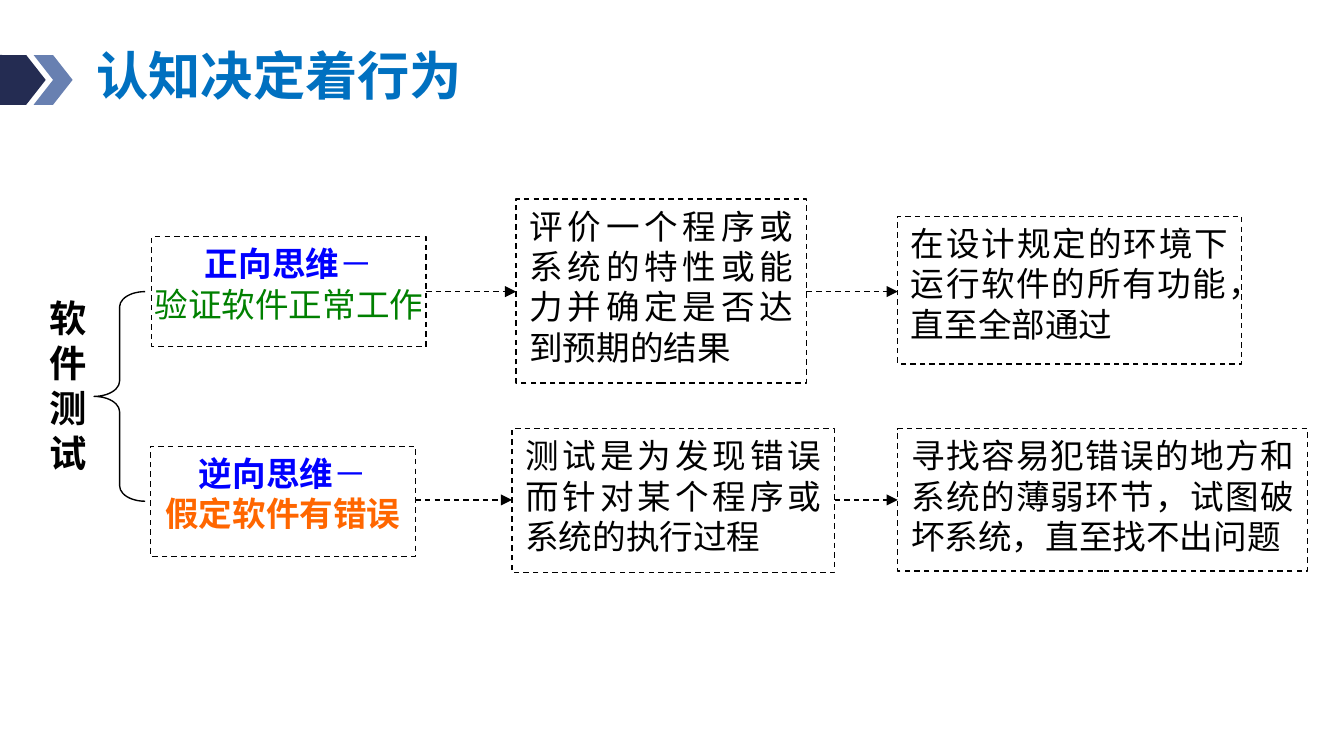
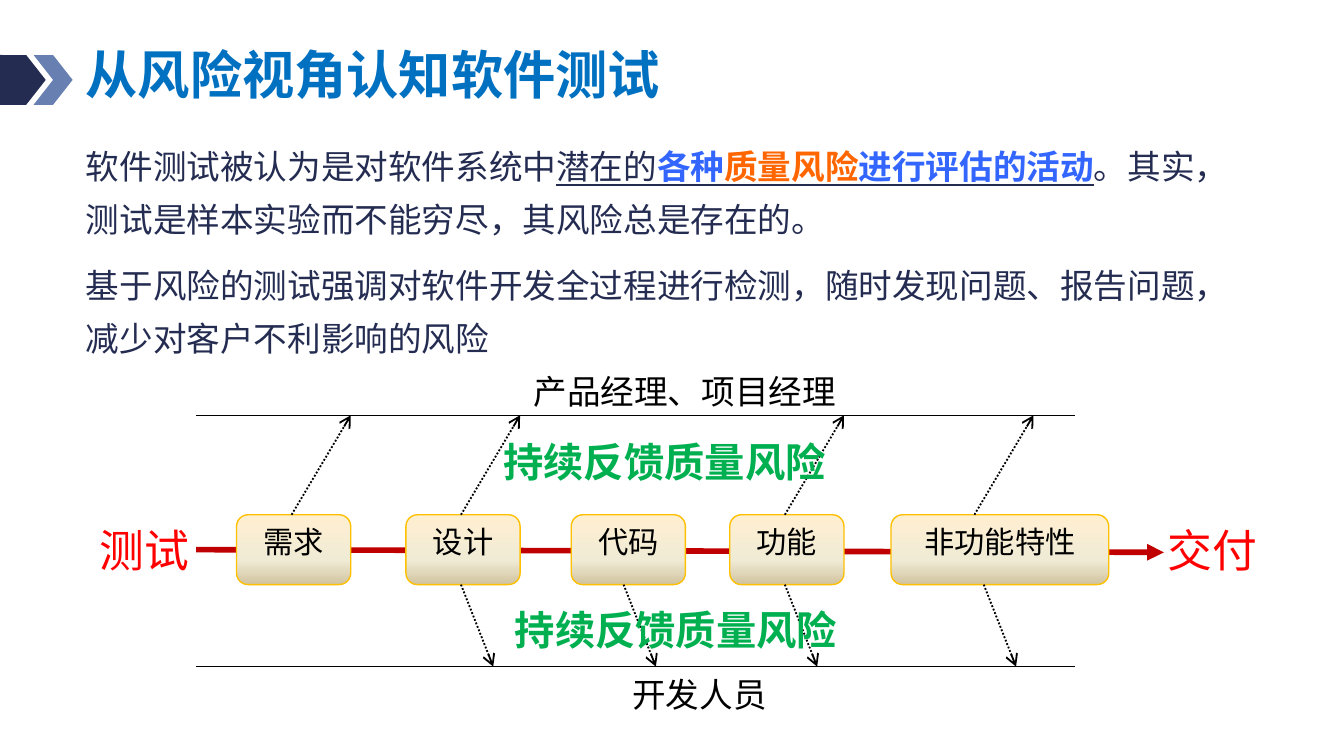
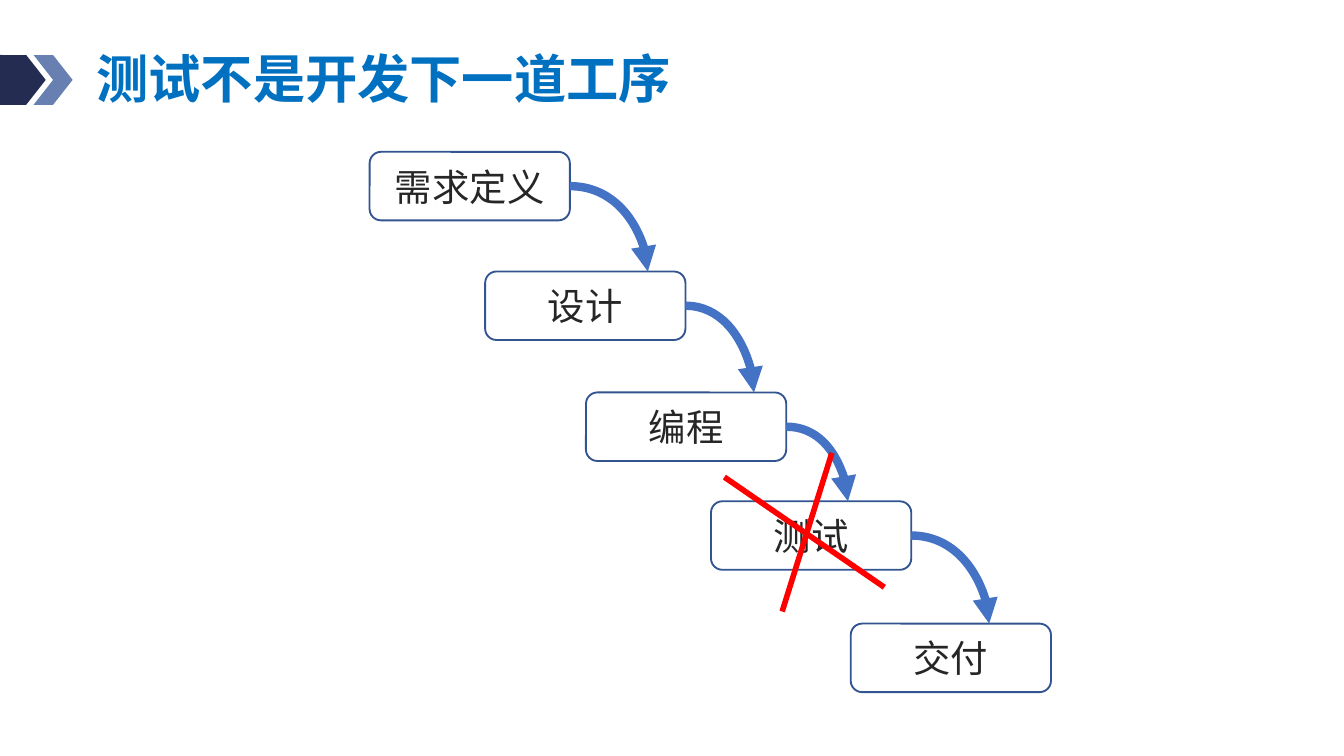
from lxml import etree
from pptx import Presentation
from pptx import util as u
from pptx.dml.color import RGBColor
from pptx.enum import dml, shapes, text
from pptx.oxml.ns import qn

PX = 9144  # EMU per px, 100 px to the inch
S, C = shapes.MSO_SHAPE, shapes.MSO_CONNECTOR
MID, TOP = text.MSO_ANCHOR.MIDDLE, text.MSO_ANCHOR.TOP
ALIGN = {"l": text.PP_ALIGN.LEFT, "c": text.PP_ALIGN.CENTER,
         "j": text.PP_ALIGN.JUSTIFY}
DASH, DOT = dml.MSO_LINE.DASH, dml.MSO_LINE.ROUND_DOT


class Theme:
    """Colours, type and lines that the slides share."""
    cjk, latin = "Noto Sans CJK SC", "Calibri"
    navy, steel, white, black = "242C52", "6880B1", "FFFFFF", "000000"
    cream = [(0, "FFEFD1"), (65, "F0EBD5"), (100, "D1C39F")]
    # name: size, colour, bold, underline, font
    type = {
        "title": (28, "0070C0", True, False, cjk),
        "plain": (18, black, False, False, cjk),
        "side": (20, black, True, False, cjk),
        "mind": (18, "0000FF", True, False, cjk),
        "dash": (18, "0000FF", False, False, cjk),
        "good": (18, "008000", False, False, cjk),
        "bad": (18, "FF6600", True, False, cjk),
        "body": (18, navy, False, False, cjk),
        "under": (18, navy, False, True, cjk),
        "key": (18, "3366FF", True, True, cjk),
        "risk": (18, "FF6600", True, True, cjk),
        "stage": (16.2, black, False, False, latin),
        "feed": (21.6, "00B050", True, False, latin),
        "end": (24, "FF0000", False, False, cjk),
        "step": (20, "262626", False, False, cjk),
    }
    # name: colour, width, dash
    line = {
        "thin": (black, 0.75, None), "dash": (black, 0.75, DASH),
        "dot": (black, 1, DOT), "flow": ("C00000", 3, None),
        "gold": ("FFC000", 0.75, None), "blue": ("325491", 1, None),
        "curve": ("4472C4", 4.5, None), "cross": ("FF0000", 3, None),
    }


# Content: thinking modes
MINDS = {
    "title": ("认知决定着行为", (62, 22, 514, 73)),
    "side": ("软件测试", (27, 215, 59, 175)),
    "brace": (70, 217, 38, 156),
    "rows": [
        (217, (113, 176, 204, 82),
         [[("正向思维", "mind"), ("－", "dash")], [("验证软件正常工作", "good")]],
         [((384, 148, 216, 137), "评价一个程序或系统的特性或能力并确定是否达到预期的结果"),
          ((668, 161, 256, 110), "在设计规定的环境下运行软件的所有功能，直至全部通过")]),
        (372, (112, 332, 197, 82),
         [[("逆向思维", "mind"), ("－", "dash")], [("假定软件有错误", "bad")]],
         [((381, 319, 240, 107), "测试是为发现错误而针对某个程序或系统的执行过程"),
          ((668, 319, 305, 106), "寻找容易犯错误的地方和系统的薄弱环节，试图破坏系统，直至找不出问题")]),
    ],
}

# Content: risk view
RISK = {
    "title": ("从风险视角认知软件测试", (54, 20, 707, 75)),
    "body": [
        [("软件测试被认为是对软件系统中", "body"), ("潜在的", "under"),
         ("各种", "key"), ("质量风险", "risk"), ("进行评估的活动", "key"),
         ("。其实，测试是样本实验而不能穷尽，其风险总是存在的。", "body")],
        [("基于风险的测试强调对软件开发全过程进行检测，随时发现问题、报告问题，"
          "减少对客户不利影响的风险", "body")],
    ],
    "stages": [("需求", 176, 85), ("设计", 302, 85), ("代码", 425, 85),
               ("功能", 543, 85), ("非功能特性", 663, 162)],
    "up": [217, 343, 584, 725],
    "down": [343, 464, 584, 732],
    "labels": [("产品经理、项目经理", "plain", (370, 270, 279, 35)),
               ("开发人员", "plain", (437, 496, 167, 34)),
               ("持续反馈质量风险", "feed", (359, 319, 271, 52)),
               ("持续反馈质量风险", "feed", (365, 444, 276, 52))],
    "ends": [("测试", 64), ("交付", 859)],
}

# Content: waterfall; each step has its corner and the x of the arrow into it
FALL = {
    "title": ("测试不是开发下一道工序", (62, 32, 805, 57)),
    "steps": [("需求定义", 275, 113, None), ("设计", 361, 202, 482),
              ("编程", 436, 292, 561), ("测试", 529, 373, 631),
              ("交付", 633, 464, 736)],
    "cross": [((539, 355), (658, 437)), ((582, 455), (619, 337))],
}


def emu(*vals):
    return [u.Emu(round(v * PX)) for v in vals]


def rgb(code):
    return RGBColor.from_string(code)


def assign(obj, **vals):
    for key, val in vals.items():
        setattr(obj, key, val)


def stroke(line, name):
    hue, width, dash = Theme.line[name]
    line.color.rgb = rgb(hue)
    line.width = u.Pt(width)
    if dash:
        line.dash_style = dash


def blend(shape, stops):
    """Fill a shape with a gradient running downwards."""
    grad = etree.Element(qn("a:gradFill"), rotWithShape="1")
    row = etree.SubElement(grad, qn("a:gsLst"))
    for pos, hue in stops:
        stop = etree.SubElement(row, qn("a:gs"), pos=str(pos * 1000))
        etree.SubElement(stop, qn("a:srgbClr"), val=hue)
    etree.SubElement(grad, qn("a:lin"), ang="5400000", scaled="0")
    shape._element.spPr.find(qn("a:prstGeom")).addnext(grad)


def rule(props, hue):
    """Give an underline its own colour."""
    fill = etree.Element(qn("a:uFill"))
    solid = etree.SubElement(fill, qn("a:solidFill"))
    etree.SubElement(solid, qn("a:srgbClr"), val=hue)
    props.find(qn("a:latin")).addprevious(fill)


def write(shape, paras, al="l", anchor=TOP, pad=(10, 5), wrap=True,
          space=None, before=0):
    frame = shape.text_frame
    side, edge = emu(*pad)
    assign(frame, word_wrap=wrap, vertical_anchor=anchor, margin_left=side,
           margin_right=side, margin_top=edge, margin_bottom=edge)
    for i, runs in enumerate(paras):
        para = frame.add_paragraph() if i else frame.paragraphs[0]
        para.alignment = ALIGN[al]
        if space:
            para.line_spacing = space
        if i and before:
            para.space_before = u.Pt(before)
        for words, name in runs:
            run = para.add_run()
            run.text = words
            size, hue, bold, under, face = Theme.type[name]
            assign(run.font, size=u.Pt(size), bold=bold, underline=under,
                   name=face)
            run.font.color.rgb = rgb(hue)
            props = run.font._element
            etree.SubElement(props, qn("a:ea"), typeface=Theme.cjk)
            if under:
                rule(props, Theme.navy)


def label(slide, box, paras, **fmt):
    area = slide.shapes.add_textbox(*emu(*box))
    write(area, paras, **fmt)
    return area


def draw(slide, kind, box, fill=None, line=None, adj=(), paras=None, **fmt):
    shape = slide.shapes.add_shape(kind, *emu(*box))
    shape.shadow.inherit = False
    for i, val in enumerate(adj):
        shape.adjustments[i] = val
    if isinstance(fill, list):
        blend(shape, fill)
    elif fill:
        shape.fill.solid()
        shape.fill.fore_color.rgb = rgb(fill)
    else:
        shape.fill.background()
    if line:
        stroke(shape.line, line)
    else:
        shape.line.fill.background()
    if paras:
        write(shape, paras, **fmt)


def link(slide, start, end, line, tip=None, kind=C.STRAIGHT):
    join = slide.shapes.add_connector(kind, *emu(*start, *end))
    stroke(join.line, line)
    props = join._element.spPr
    if kind == C.CURVE:
        props.find(qn("a:prstGeom")).set("prst", "curvedConnector2")
    if tip:
        etree.SubElement(props.find(qn("a:ln")), qn("a:tailEnd"), type=tip)
    etree.SubElement(props, qn("a:effectLst"))


def begin(deck, data):
    """Add a slide with the corner mark and its title."""
    slide = deck.slides.add_slide(deck.slide_layouts[6])
    draw(slide, S.ROUNDED_RECTANGLE, (-15, 41, 35, 37), Theme.navy, adj=[0.1])
    for x, hue in ((25, Theme.steel), (5, Theme.navy)):
        draw(slide, S.CHEVRON, (x, 41, 29, 37), hue)
    words, box = data["title"]
    label(slide, box, [[(words, "title")]], anchor=MID, space=0.9)
    return slide


def minds(deck):
    slide = begin(deck, MINDS)
    words, box = MINDS["side"]
    label(slide, box, [[(words, "side")]], al="j")
    draw(slide, S.LEFT_BRACE, MINDS["brace"], line="thin", adj=[0.3, 0.5])
    frame = {"fill": Theme.white, "line": "dash"}
    for y, last, head, cells in MINDS["rows"]:
        draw(slide, S.RECTANGLE, last, paras=head, al="c", pad=(1, 5), **frame)
        for box, words in cells:
            draw(slide, S.RECTANGLE, box, paras=[[(words, "plain")]], al="j",
                 **frame)
            link(slide, (last[0] + last[2], y), (box[0], y), "dash",
                 "triangle")
            last = box


def risk(deck):
    slide = begin(deck, RISK)
    label(slide, (54, 95, 882, 175), RISK["body"], space=1.3, before=7.5)
    # Main flow and its stages
    roof, top, foot, floor = 309, 383, 435, 496
    link(slide, (146, 409), (866, 411), "flow", "triangle")
    for words, x, wide in RISK["stages"]:
        draw(slide, S.ROUNDED_RECTANGLE, (x, top, wide, foot - top),
             Theme.cream, "gold", paras=[[(words, "stage")]], al="c",
             pad=(9, 4))
    # Feedback to both rails
    for rail, edge, shift, starts in ((roof, top, 44, RISK["up"]),
                                      (floor, foot, 24, RISK["down"])):
        link(slide, (146, rail), (800, rail), "thin")
        for x in starts:
            link(slide, (x, edge), (x + shift, rail), "dot", "arrow")
    for words, name, box in RISK["labels"]:
        draw(slide, S.ROUNDED_RECTANGLE, box, paras=[[(words, name)]], al="c",
             pad=(9, 4))
    for words, x in RISK["ends"]:
        area = label(slide, (x, 384, 88, 50), [[(words, "end")]], wrap=False)
        area.text_frame.auto_size = text.MSO_AUTO_SIZE.SHAPE_TO_FIT_TEXT


def fall(deck):
    slide = begin(deck, FALL)
    wide, high = 149, 51
    out = None
    for words, x, y, tip in FALL["steps"]:
        draw(slide, S.ROUNDED_RECTANGLE, (x, y, wide, high), line="blue",
             paras=[[(words, "step")]], al="c", anchor=MID)
        if out:
            link(slide, out, (tip, y), "curve", "triangle", C.CURVE)
        out = (x + wide, y + high / 2)
    for start, end in FALL["cross"]:
        link(slide, start, end, "cross")


def main():
    deck = Presentation()
    deck.slide_width, deck.slide_height = emu(1000, 562.5)
    for build in (minds, risk, fall):
        build(deck)
    deck.save("out.pptx")


if __name__ == "__main__":
    main()
